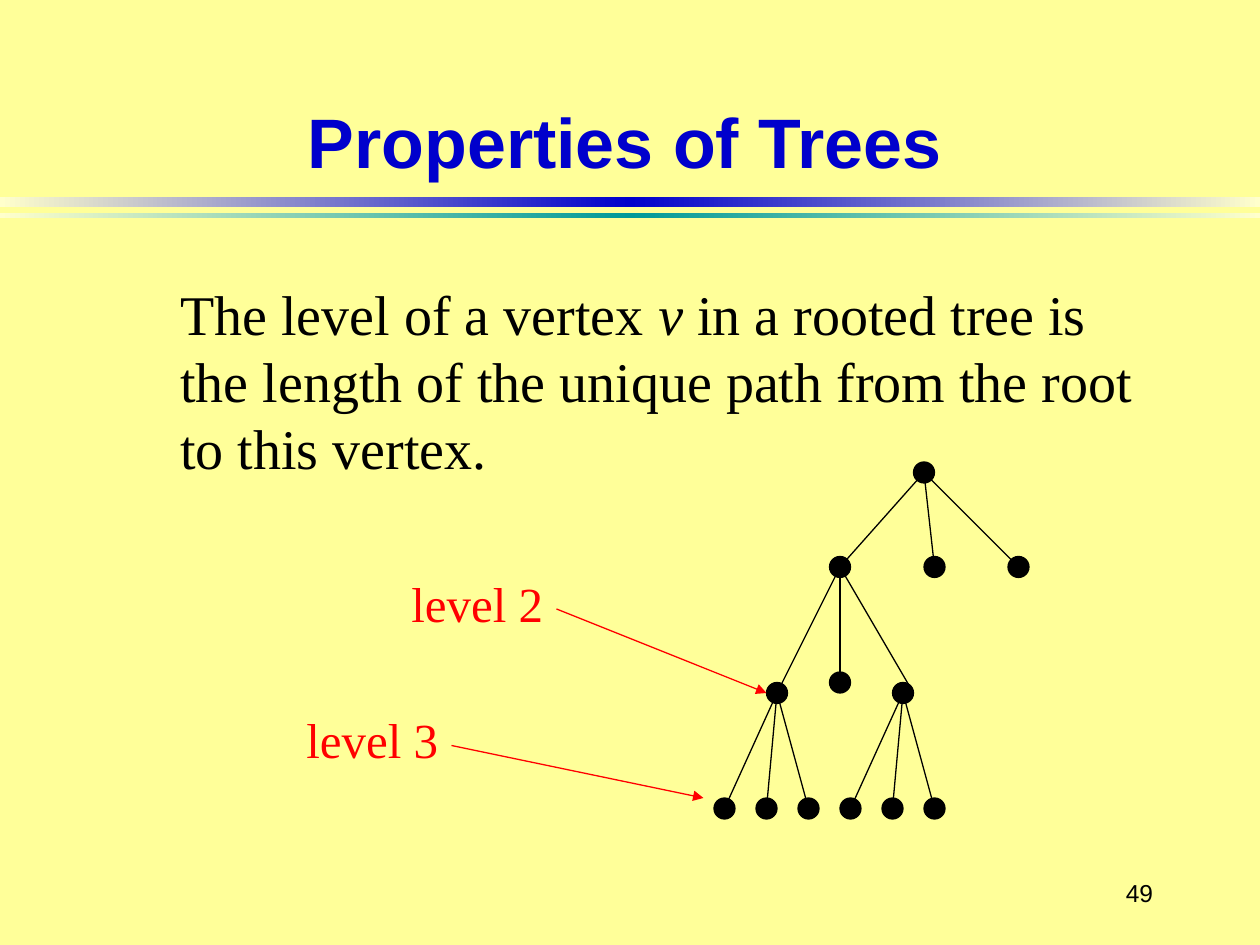
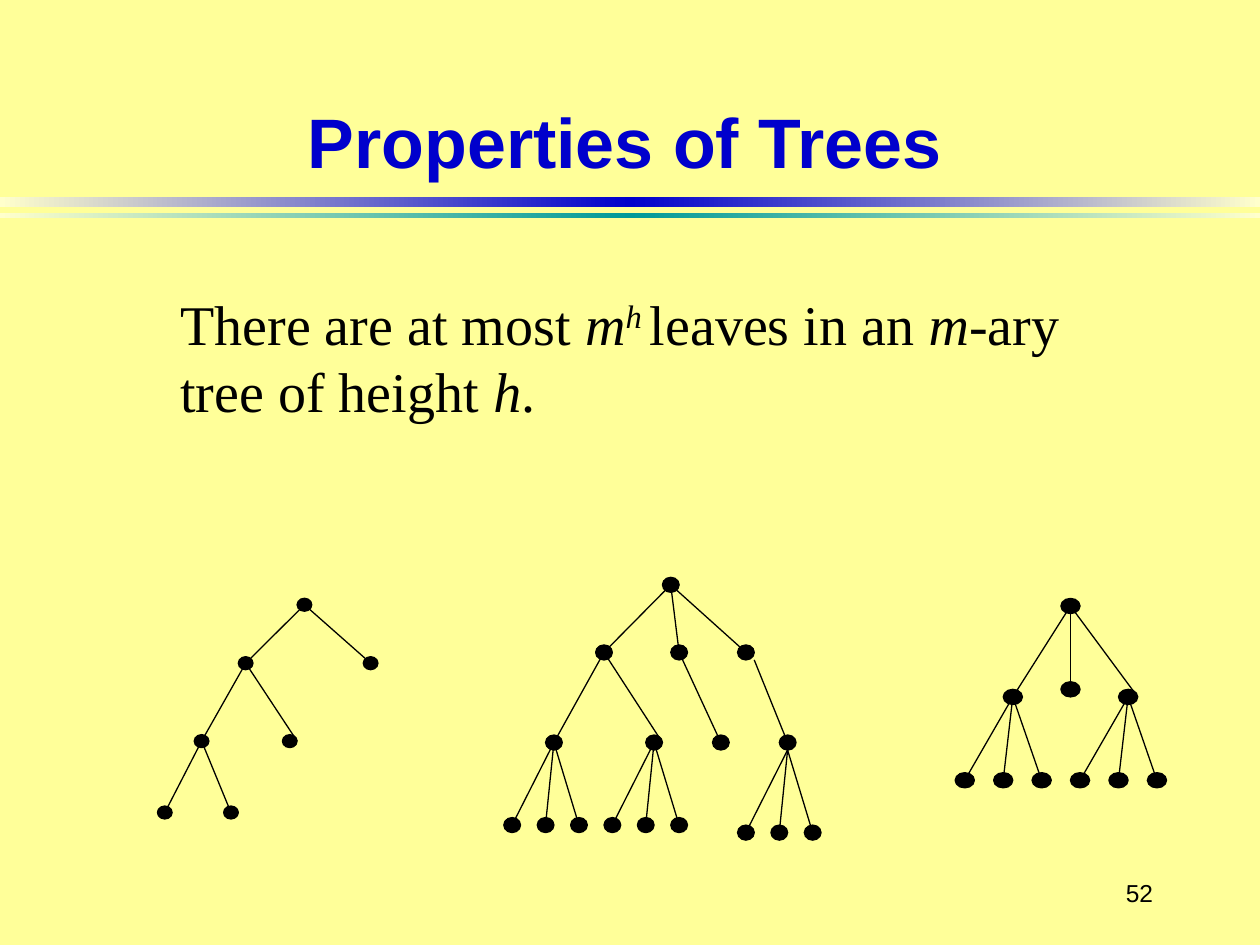
from copy import deepcopy
from dataclasses import dataclass

from pptx import Presentation
from pptx.dml.color import RGBColor
from pptx.enum.shapes import MSO_CONNECTOR as CONN, MSO_SHAPE as SHAPE
from pptx.enum.text import MSO_ANCHOR as ANCHOR, PP_ALIGN as ALIGN
from pptx.oxml.ns import qn
from pptx.oxml.xmlchemy import OxmlElement
from pptx.slide import Slide
from pptx.util import Pt

# Shared look
YELLOW = RGBColor(0xFF, 0xFF, 0x99)
CREAM = RGBColor(0xFF, 0xFF, 0xCC)
BLUE = RGBColor(0x00, 0x00, 0xCC)
TEAL = RGBColor(0x00, 0x99, 0x99)
BLACK = RGBColor(0x00, 0x00, 0x00)
RED = RGBColor(0xFF, 0x00, 0x00)
SANS, SERIF = "Arial", "Times New Roman"
LINE_WIDTH = 0.75
WIDTH, HEIGHT = 720, 540


@dataclass(frozen=True)
class Box:
    left: float
    top: float
    width: float
    height: float


@dataclass(frozen=True)
class Style:
    font: str
    size: float
    color: RGBColor
    bold: bool = False
    align: ALIGN = ALIGN.LEFT
    anchor: ANCHOR = ANCHOR.TOP


@dataclass(frozen=True)
class Run:
    text: str
    italic: bool = False
    raised: bool = False


@dataclass(frozen=True)
class Node:
    """A vertex, placed in grid units from its parent."""
    dx: float
    dy: float
    kids: tuple["Node", ...] = ()
    overshoot: float = 0  # sideways offset of the edge's lower end
    start: tuple[float, float] = (0, 0)  # offset of the edge's upper end


@dataclass(frozen=True)
class Tree:
    root: Node
    x: float
    y: float
    unit_x: float
    unit_y: float


@dataclass(frozen=True)
class LevelLabel:
    text: str
    box: Box
    start: tuple[float, float]
    end: tuple[float, float]


TITLE = Style(SANS, 40, BLUE, True, ALIGN.CENTER, ANCHOR.BOTTOM)
BODY = Style(SERIF, 32, BLACK)
LABEL = Style(SERIF, 28, RED)
NUMBER = Style(SANS, 14, BLACK, align=ALIGN.RIGHT, anchor=ANCHOR.MIDDLE)
TITLE_BOX = Box(48, 18, 618, 90)
NUMBER_BOX = Box(618, 492, 48, 36)
BANDS = [(Box(0, 112.5, WIDTH, 5.8), BLUE), (Box(0, 121.7, WIDTH, 2.9), TEAL)]


# Tree parts
def leaves(*offsets: float, drop: float = 11,
           start: tuple[float, float] = (0, 0)) -> tuple[Node, ...]:
    return tuple(Node(dx, drop, start=start) for dx in offsets)


TRIPLE = leaves(-5, -1, 3)
LEFT_FAN = Node(-6, 12, TRIPLE)
RIGHT_FAN = Node(6, 12, TRIPLE, overshoot=1)
FULL = (LEFT_FAN, Node(0, 11), RIGHT_FAN)
LOW_FAN = Node(5, 12, leaves(-5, -1, 3, drop=12, start=(0, 1)), start=(1, 1))

LEVEL_TREE = Node(0, 0, (Node(-8, 9, FULL), Node(1, 9), Node(9, 9)))
BINARY_TREE = Node(0, 0, (
    Node(-8, 9, (Node(-6, 12, leaves(-5, 4)), Node(6, 12, overshoot=1))),
    Node(9, 9)))
TERNARY_TREE = Node(0, 0, (
    Node(-8, 9, (LEFT_FAN, RIGHT_FAN)),
    Node(1, 9, (Node(5, 12),)),
    Node(9, 9, (LOW_FAN,))))
FULL_TREE = Node(0, 0, FULL)


def add_text(slide: Slide, box: Box, style: Style, *runs: Run) -> None:
    sp = slide.shapes.add_textbox(
        Pt(box.left), Pt(box.top), Pt(box.width), Pt(box.height))
    tf = sp.text_frame
    tf.word_wrap = True
    tf.vertical_anchor = style.anchor
    p = tf.paragraphs[0]
    p.alignment = style.align
    for run in runs:
        r = p.add_run()
        r.text = run.text
        r.font.name, r.font.size = style.font, Pt(style.size)
        r.font.color.rgb = style.color
        r.font.bold, r.font.italic = style.bold, run.italic
        if run.raised:
            r._r.get_or_add_rPr().set("baseline", "30000")


def add_line(shapes, start: tuple[float, float], end: tuple[float, float],
             color: RGBColor = BLACK, arrow: bool = False) -> None:
    line = shapes.add_connector(CONN.STRAIGHT, *map(Pt, start + end))
    line.line.color.rgb = color
    line.line.width = Pt(LINE_WIDTH)
    if arrow:
        head = OxmlElement("a:tailEnd")
        head.set("type", "triangle")
        line.line._get_or_add_ln().append(head)
    line._element.spPr.append(OxmlElement("a:effectLst"))


def add_band(slide: Slide, box: Box, middle: RGBColor) -> None:
    sp = slide.shapes.add_shape(
        SHAPE.RECTANGLE, Pt(box.left), Pt(box.top), Pt(box.width), Pt(box.height))
    sp.shadow.inherit = False
    sp.line.fill.background()
    sp.fill.gradient()
    sp.fill.gradient_angle = 0
    stop_list = sp._element.spPr.find(".//" + qn("a:gsLst"))
    stop_list.append(deepcopy(stop_list[0]))
    for i, (stop, color) in enumerate(
            zip(sp.fill.gradient_stops, (CREAM, middle, CREAM))):
        stop.color.rgb = color
        stop.position = i / 2


def add_tree(slide: Slide, tree: Tree) -> None:
    shapes = slide.shapes.add_group_shape().shapes
    ux, uy = tree.unit_x, tree.unit_y

    def draw(node: Node, x: float, y: float) -> None:
        dot = shapes.add_shape(
            SHAPE.OVAL, Pt(x - ux), Pt(y - uy), Pt(2 * ux), Pt(2 * uy))
        dot.shadow.inherit = False
        dot.fill.solid()
        dot.fill.fore_color.rgb = BLACK
        dot.line.color.rgb = BLACK
        dot.line.width = Pt(LINE_WIDTH)
        for kid in node.kids:
            kid_x, kid_y = x + kid.dx * ux, y + kid.dy * uy
            add_line(shapes, (x + kid.start[0] * ux, y + kid.start[1] * uy),
                     (kid_x + kid.overshoot * ux, kid_y))
            draw(kid, kid_x, kid_y)

    draw(tree.root, tree.x, tree.y)


def add_slide(prs: Presentation, number: int) -> Slide:
    s = prs.slides.add_slide(prs.slide_layouts[6])
    s.background.fill.solid()
    s.background.fill.fore_color.rgb = YELLOW
    for box, color in BANDS:
        add_band(s, box, color)
    add_text(s, TITLE_BOX, TITLE, Run("Properties of Trees"))
    add_text(s, NUMBER_BOX, NUMBER, Run(str(number)))
    return s


def main() -> None:
    prs = Presentation()
    prs.slide_width, prs.slide_height = Pt(WIDTH), Pt(HEIGHT)

    # Level of a vertex
    s = add_slide(prs, 49)
    add_text(s, Box(96, 156, 570, 122.4), BODY,
             Run("The level of a vertex "), Run("v", italic=True),
             Run(" in a rooted tree is the length of the unique path "
                 "from the root to this vertex."))
    add_tree(s, Tree(LEVEL_TREE, 528, 270, 6, 6))
    for label in (
        LevelLabel("level 2", Box(228, 324, 132, 41), (318, 348), (438, 396)),
        LevelLabel("level 3", Box(168, 402, 102, 41), (258, 426), (402, 456)),
    ):
        add_text(s, label.box, LABEL, Run(label.text))
        add_line(s.shapes, label.start, label.end, RED, arrow=True)

    # Number of leaves
    s = add_slide(prs, 52)
    add_text(s, Box(96, 162, 564, 84.2), BODY,
             Run("There are at most "), Run("m", italic=True),
             Run("h ", italic=True, raised=True), Run("leaves in an "),
             Run("m", italic=True), Run("-ary tree of height "),
             Run("h", italic=True), Run("."))
    for tree in (
        Tree(BINARY_TREE, 174, 345.6, 4.2, 3.71),
        Tree(TERNARY_TREE, 383.3, 334.2, 4.77, 4.29),
        Tree(FULL_TREE, 611.7, 346.3, 5.49, 4.33),
    ):
        add_tree(s, tree)

    prs.save("out.pptx")


if __name__ == "__main__":
    main()
